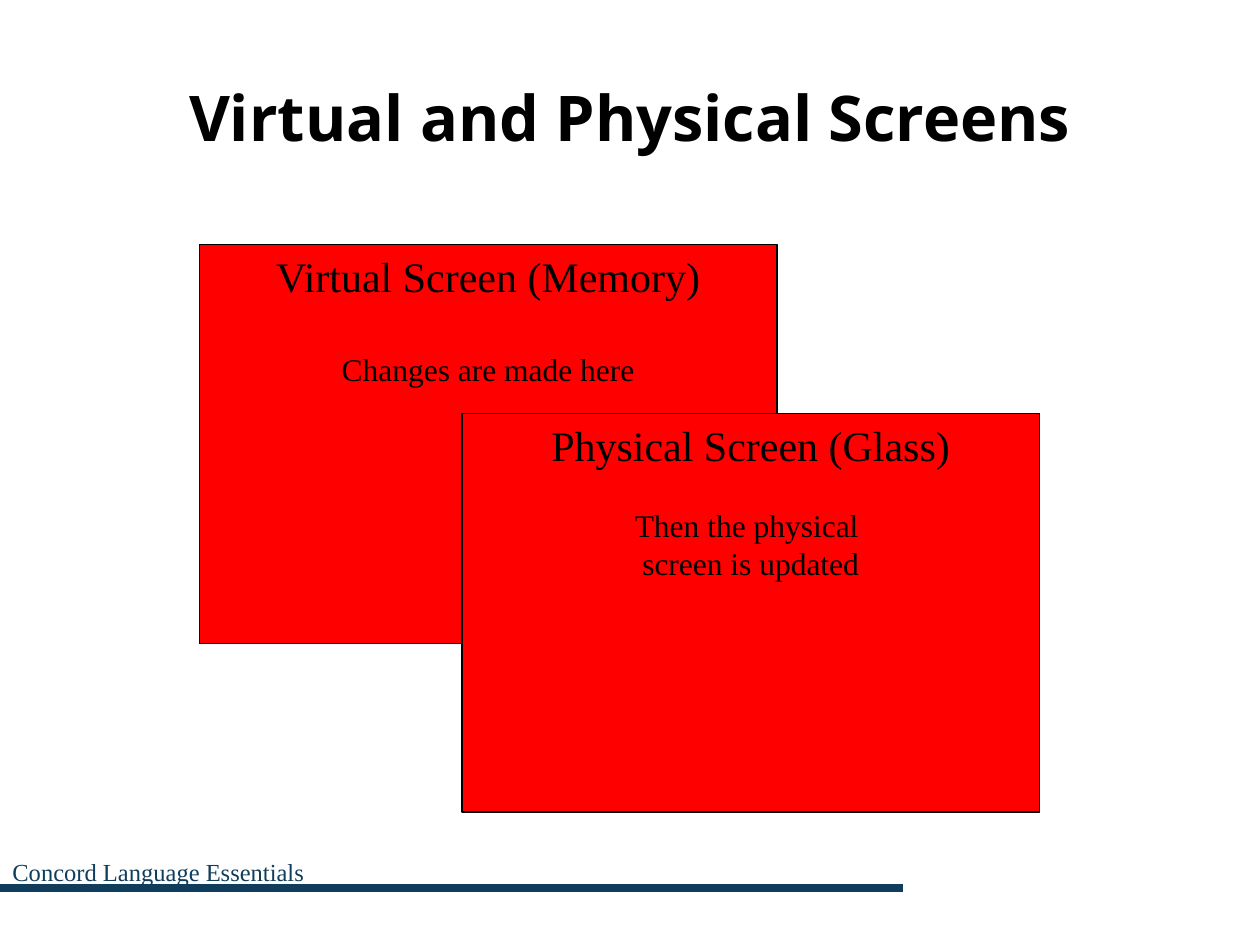
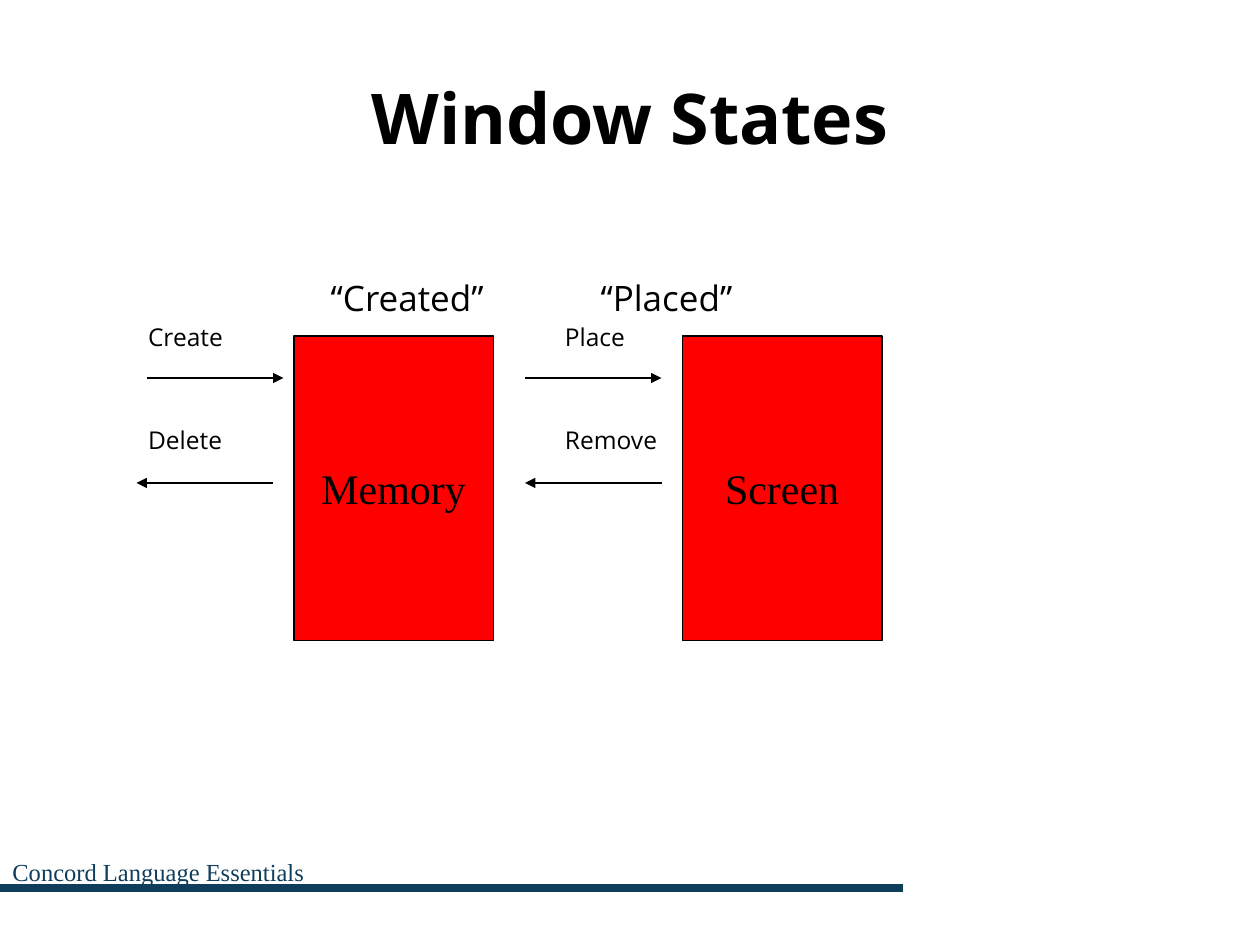
from pptx import Presentation
from pptx.dml.color import RGBColor
from pptx.enum.shapes import MSO_CONNECTOR as Connector, MSO_SHAPE as Shape
from pptx.enum.text import MSO_ANCHOR as Anchor, PP_ALIGN as Align
from pptx.oxml.ns import qn
from pptx.util import Inches, Pt
from lxml.etree import SubElement

WIDTH, HEIGHT = Inches(10), Inches(7.5)
COLUMNS, ROWS = 120, 90
BLACK, RED, NAVY = "000000", "FF0000", "103D5C"
SANS, SERIF = "Open Sans", "Times New Roman"


def color(value):
    """Turn a hex string into a colour."""
    return RGBColor.from_string(value)


def across(columns):
    """Convert grid columns to a length."""
    return round(WIDTH * columns / COLUMNS)


def down(rows):
    """Convert grid rows to a length."""
    return round(HEIGHT * rows / ROWS)


def area(left, top, width, height):
    """Convert a grid area to left, top, width and height."""
    return across(left), down(top), across(width), down(height)


def write(frame, text, size=24, font=SERIF, ink=BLACK, bold=False,
          align=Align.LEFT, before=0):
    """Append a formatted paragraph, filling the first one if it is empty."""
    first = frame.paragraphs[0]
    paragraph = frame.add_paragraph() if first.runs else first
    paragraph.alignment = align
    paragraph.space_before = Pt(before)
    run = paragraph.add_run()
    run.text = text
    run.font.name = font
    run.font.size = Pt(size)
    run.font.bold = bold
    run.font.color.rgb = color(ink)


def add_text(slide, place, text, anchor=Anchor.TOP, inset=0.1, **style):
    """Add a text box with one paragraph."""
    frame = slide.shapes.add_textbox(*area(*place)).text_frame
    frame.word_wrap = True
    frame.vertical_anchor = anchor
    frame.margin_left = frame.margin_right = Inches(inset)
    write(frame, text, **style)


def add_box(slide, place, anchor, lines):
    """Add a red outlined box with centred lines of text and format."""
    box = slide.shapes.add_shape(Shape.RECTANGLE, *area(*place))
    box.shadow.inherit = False
    box.fill.solid()
    box.fill.fore_color.rgb = color(RED)
    box.line.color.rgb = color(BLACK)
    box.line.width = Pt(0.75)
    box.text_frame.word_wrap = False
    box.text_frame.vertical_anchor = anchor
    for text, style in lines:
        write(box.text_frame, text, align=Align.CENTER, **style)


def add_line(slide, start, end, row, ink=BLACK, width=0.75, arrow=False):
    """Add a horizontal line, with an arrowhead at its end if wanted."""
    line = slide.shapes.add_connector(
        Connector.STRAIGHT, across(start), down(row), across(end), down(row))
    line.line.color.rgb = color(ink)
    line.line.width = Pt(width)
    if arrow:
        SubElement(line.line._get_or_add_ln(), qn("a:tailEnd"), type="triangle")
    SubElement(line._element.spPr, qn("a:effectLst"))


def add_slide(presentation, title, size):
    """Add a blank slide with the shared band, title and footer."""
    slide = presentation.slides.add_slide(presentation.slide_layouts[6])
    add_line(slide, 0, 86, 84.6, ink=NAVY, width=4.5)
    add_text(slide, (6, 3.6, 108, 15), title, anchor=Anchor.MIDDLE,
             size=size, font=SANS, bold=True, align=Align.CENTER)
    add_text(slide, (0, 81, 52, 6), "Concord Language Essentials",
             size=14, ink=NAVY)
    return slide


def build_screens(presentation):
    """Build the slide with the two overlapping screens."""
    slide = add_slide(presentation, "Virtual and Physical Screens", 36)
    add_box(slide, (19, 23.3, 55, 38), Anchor.TOP, [
        ("Virtual Screen (Memory)", {}),
        ("Changes are made here", {"size": 18, "before": 27.6})])
    add_box(slide, (44, 39.35, 55, 38), Anchor.TOP, [
        ("Physical Screen (Glass)", {}),
        ("Then the physical ", {"size": 18, "before": 20.7}),
        ("screen is updated", {"size": 18})])


def build_states(presentation):
    """Build the slide with the window states and their transitions."""
    slide = add_slide(presentation, "Window States", 40)

    def label(text, left, middle, size):
        """Add a label that is centred on a grid row."""
        add_text(slide, (left, middle - 3, 24, 6), text, anchor=Anchor.MIDDLE,
                 inset=0, size=size, font=SANS)

    states = [("Memory", "“Created”", 31.5, "Create", "Delete", 14.1, 13),
              ("Screen", "“Placed”", 57.2, "Place", "Remove", 53.8, 50)]
    for index, state in enumerate(states):
        name, status, status_left, enter, leave, action_left, back = state
        add_box(slide, (28 + 37 * index, 32, 19, 29), Anchor.MIDDLE,
                [(name, {})])
        label(status, status_left, 28.3, 20)
        label(enter, action_left, 32.1, 14)
        label(leave, action_left, 41.9, 14)
        forward = 14 + 36 * index
        add_line(slide, forward, forward + 13, 36, arrow=True)
        add_line(slide, back + 13, back, 46, arrow=True)


def main():
    """Build and save the presentation."""
    presentation = Presentation()
    presentation.slide_width, presentation.slide_height = WIDTH, HEIGHT
    build_screens(presentation)
    build_states(presentation)
    presentation.save("out.pptx")


if __name__ == "__main__":
    main()
